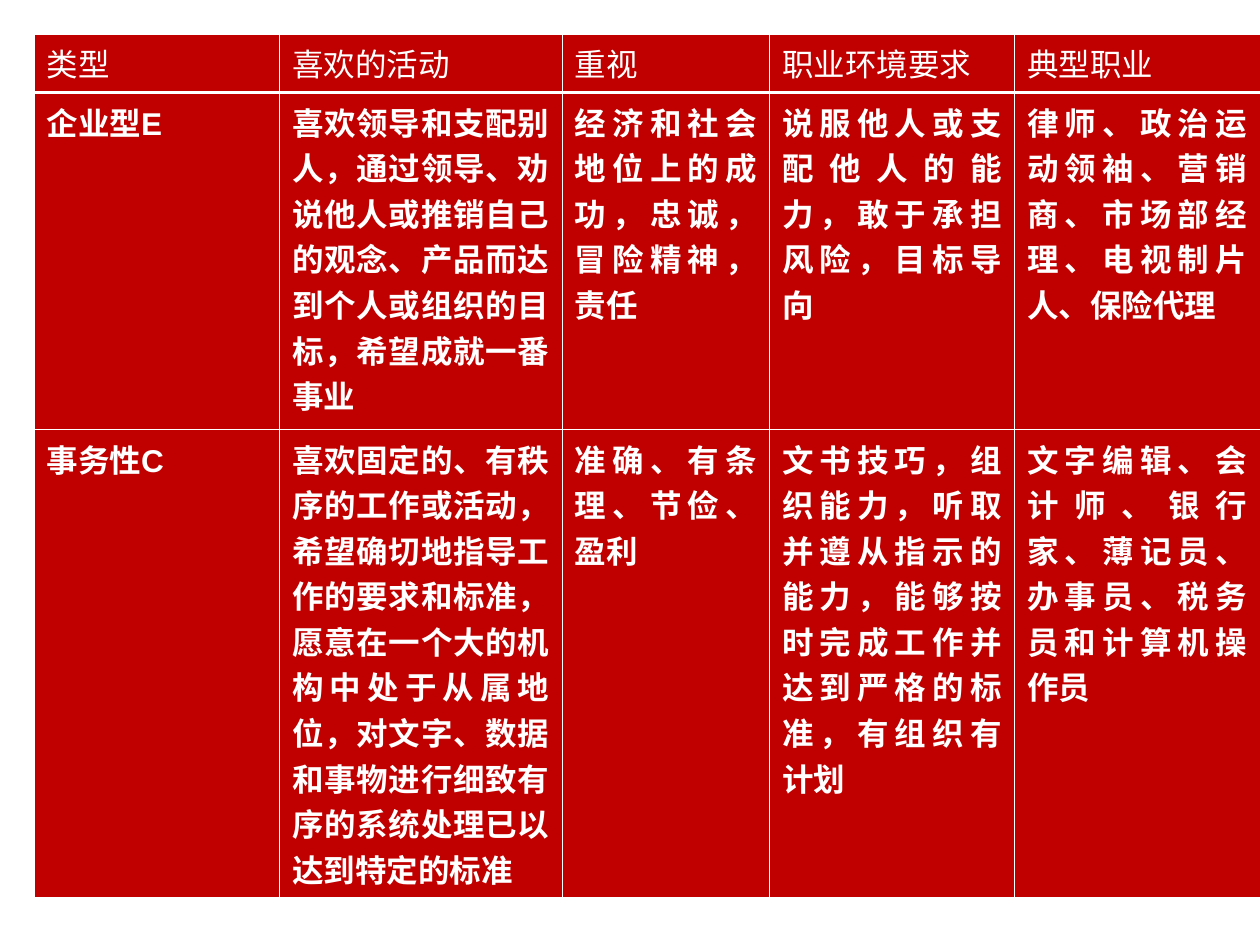
from lxml import etree
from pptx import Presentation
from pptx.dml.color import RGBColor
from pptx.enum import text
from pptx.oxml import ns
from pptx.util import Pt

COLORS = {"cell": "C00000", "ink": "FFFFFF", "rule": "FFFFFF"}
FONT = "Arial"
THIN, THICK = Pt(0.45), Pt(1.47)
LEFT, TOP = Pt(19.5), Pt(19.5)
COLUMN_WIDTHS = [Pt(w) for w in (140.25, 161.5, 118.5, 140, 140.25)]
ROW_HEIGHTS = [Pt(h) for h in (29, 192.5, 254)]

ROWS = [
    ["类型", "喜欢的活动", "重视", "职业环境要求", "典型职业"],
    [
        "企业型E",
        "喜欢领导和支配别人，通过领导、劝说他人或推销自己的观念、产品而达到个人或组织的目标，希望成就一番事业",
        "经济和社会地位上的成功，忠诚，冒险精神，责任",
        "说服他人或支配他人的能力，敢于承担风险，目标导向",
        "律师、政治运动领袖、营销商、市场部经理、电视制片人、保险代理",
    ],
    [
        "事务性C",
        "喜欢固定的、有秩序的工作或活动，希望确切地指导工作的要求和标准，愿意在一个大的机构中处于从属地位，对文字、数据和事物进行细致有序的系统处理已以达到特定的标准",
        "准确、有条理、节俭、盈利",
        "文书技巧，组织能力，听取并遵从指示的能力，能够按时完成工作并达到严格的标准，有组织有计划",
        "文字编辑、会计师、银行家、薄记员、办事员、税务员和计算机操作员",
    ],
]


def set_borders(cell, widths):
    """Draw the cell's edges; widths maps L, R, T and B to line widths."""
    props = cell._tc.get_or_add_tcPr()
    for i, (side, width) in enumerate(widths.items()):
        line = etree.Element(ns.qn(f"a:ln{side}"), w=str(int(width)))
        fill = etree.SubElement(line, ns.qn("a:solidFill"))
        etree.SubElement(fill, ns.qn("a:srgbClr"), val=COLORS["rule"])
        props.insert(i, line)


def fill_cell(cell, content, bold):
    cell.fill.solid()
    cell.fill.fore_color.rgb = RGBColor.from_string(COLORS["cell"])
    cell.text = content
    p = cell.text_frame.paragraphs[0]
    p.alignment = text.PP_ALIGN.JUSTIFY
    # Keep line-end punctuation inside the cell
    p._p.get_or_add_pPr().set("hangingPunct", "0")
    p.font.name = FONT
    p.font.size = Pt(18)
    p.font.bold = bold
    p.font.color.rgb = RGBColor.from_string(COLORS["ink"])


def add_type_table(s):
    table = s.shapes.add_table(
        len(ROWS), len(COLUMN_WIDTHS), LEFT, TOP,
        sum(COLUMN_WIDTHS), sum(ROW_HEIGHTS),
    ).table
    table.horz_banding = False
    for column, width in zip(table.columns, COLUMN_WIDTHS):
        column.width = width
    for r, (row, height) in enumerate(zip(table.rows, ROW_HEIGHTS)):
        row.height = height
        widths = {
            "L": THIN,
            "R": THIN,
            "T": THICK if r == 1 else THIN,
            "B": THICK if r == 0 else THIN,
        }
        for cell, content in zip(row.cells, ROWS[r]):
            fill_cell(cell, content, bold=r > 0)
            set_borders(cell, widths)


def main():
    prs = Presentation()
    prs.slide_width, prs.slide_height = Pt(720), Pt(540)
    s = prs.slides.add_slide(prs.slide_layouts[6])
    add_type_table(s)
    prs.save("out.pptx")


if __name__ == "__main__":
    main()
